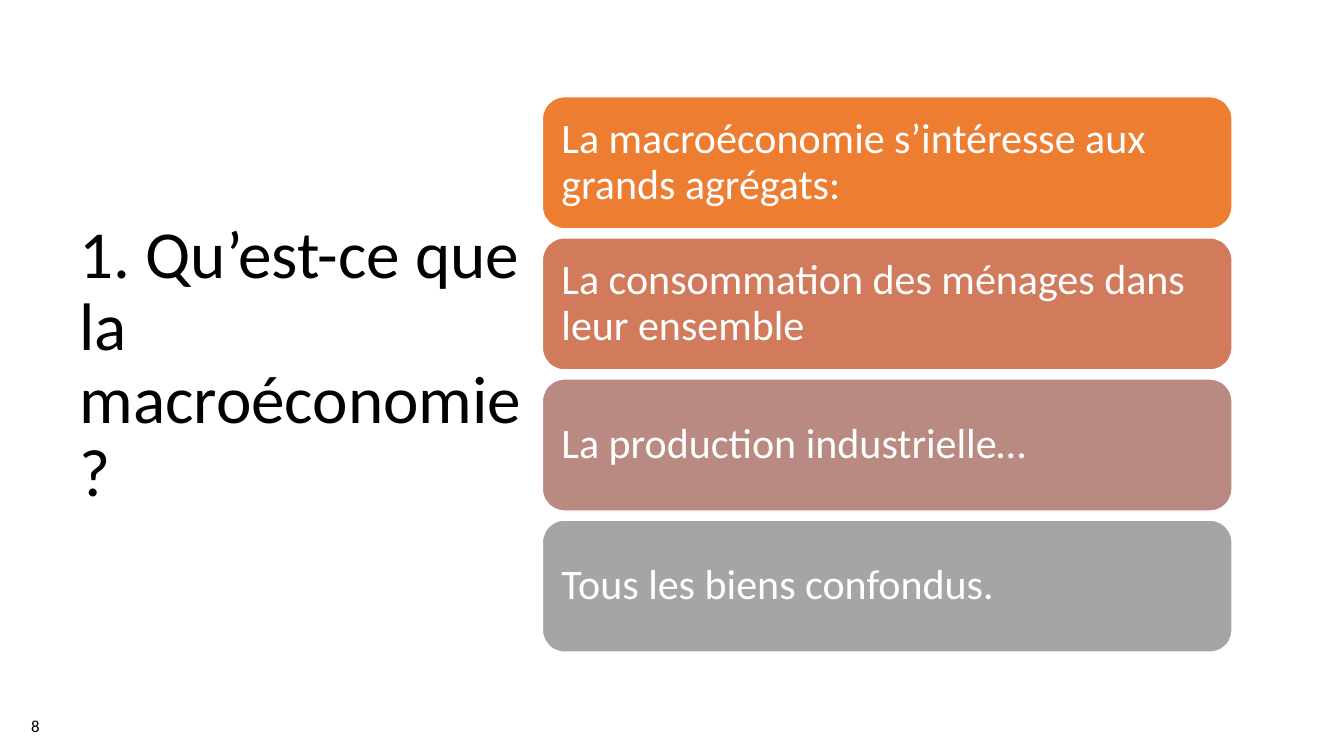
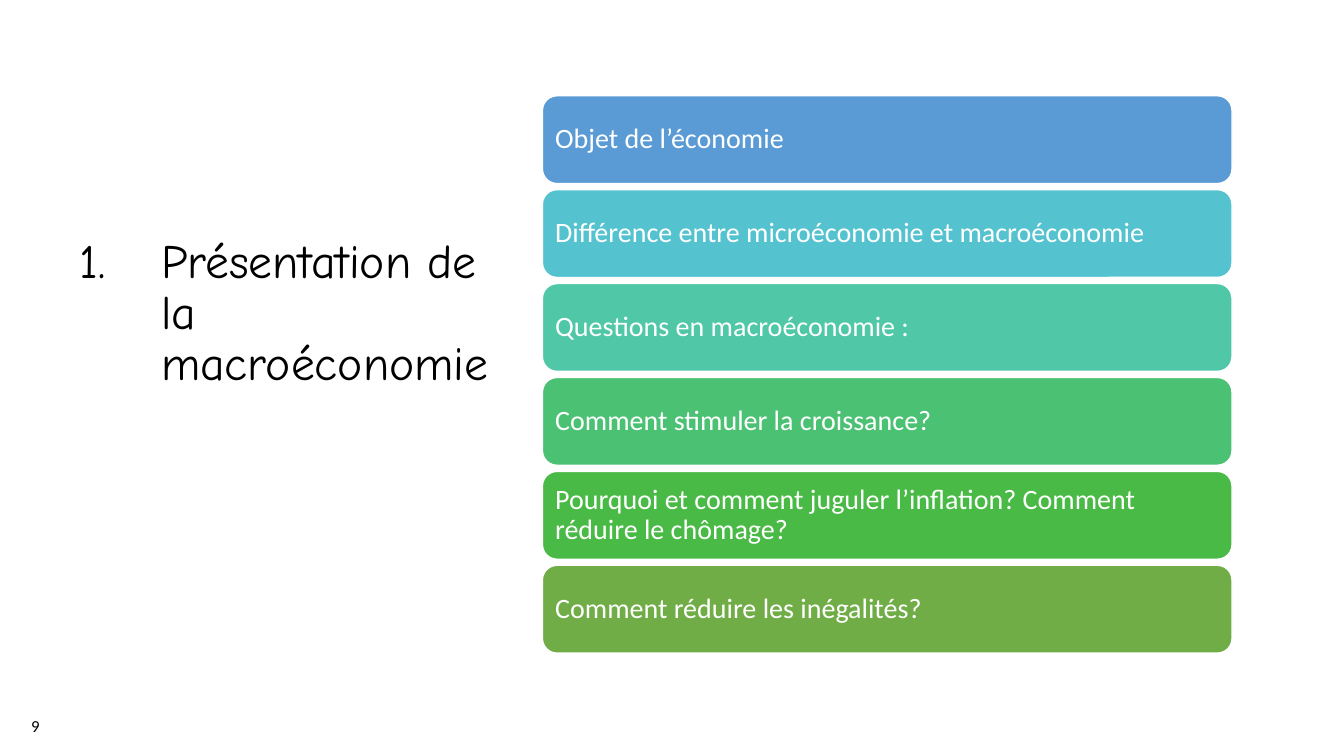
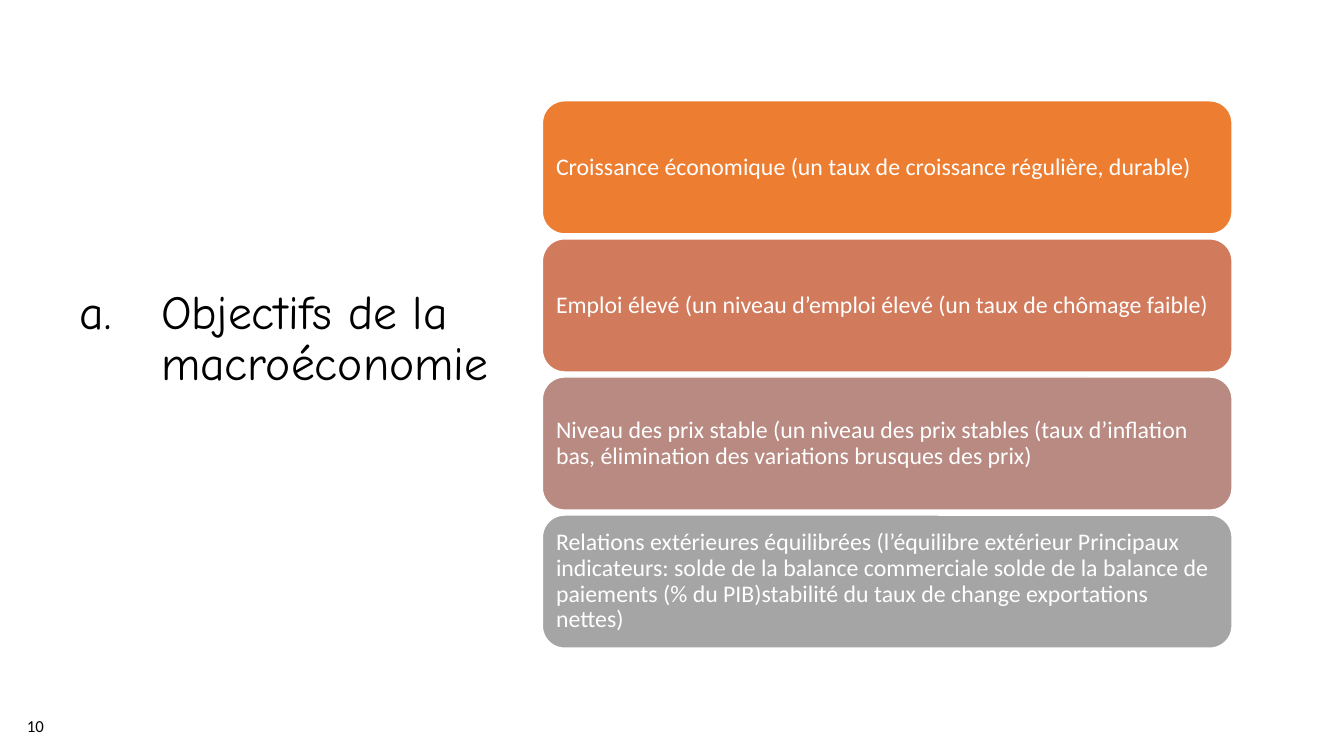
import dataclasses

import pptx
import pptx.dml.color
import pptx.enum.shapes
import pptx.enum.text
import pptx.oxml.ns
import pptx.util
from lxml import etree

Inches = pptx.util.Inches
ALIGN = pptx.enum.text.PP_ALIGN


@dataclasses.dataclass(frozen=True)
class Theme:
    body_font: str = "Calibri"
    section_font: str = "Comic Neue"
    black: str = "000000"
    white: str = "FFFFFF"
    warm: tuple = ("ED7D31", "D17B5C", "B98A82", "A5A5A5")
    cool: tuple = ("5B9BD5", "55C3CF", "50C8A7", "4BC174", "4ABA46", "70AD47")
    question_size: int = 48
    section_size: int = 34
    number_size: int = 12
    line_spacing: float = 0.9
    inset_per_point: float = 1 / 240


THEME = Theme()
NUMBER_BOX = (0, 6.9, 0.7, 0.6)


def rgb(color):
    return pptx.dml.color.RGBColor.from_string(color)


def set_numbering(p, scheme, indent):
    pPr = p._p.get_or_add_pPr()
    pPr.set("marL", str(Inches(indent)))
    pPr.set("indent", str(-Inches(indent)))
    bullet = etree.SubElement(pPr, pptx.oxml.ns.qn("a:buAutoNum"))
    bullet.set("type", scheme)


def write_text(tf, text, *, size, color=THEME.black, font=THEME.body_font,
               align=ALIGN.LEFT, spacing=THEME.line_spacing, inset=None, numbering=None):
    tf.word_wrap = True
    tf.vertical_anchor = pptx.enum.text.MSO_ANCHOR.MIDDLE
    if inset is not None:
        tf.margin_left = tf.margin_top = tf.margin_right = tf.margin_bottom = Inches(inset)
    p = tf.paragraphs[0]
    if numbering:
        set_numbering(p, numbering, 0.81)
    p.alignment = align
    p.line_spacing = spacing
    r = p.add_run()
    r.text = text
    r.font.name = font
    r.font.size = pptx.util.Pt(size)
    r.font.color.rgb = rgb(color)


def add_text_box(slide, box, text, **fmt):
    sp = slide.shapes.add_textbox(*map(Inches, box))
    write_text(sp.text_frame, text, **fmt)


def add_cards(slide, box, texts, colors, gap, size):
    left, top, width, height = box
    card_height = (height - gap * (len(texts) - 1)) / len(texts)
    for i, (text, color) in enumerate(zip(texts, colors)):
        sp = slide.shapes.add_shape(
            pptx.enum.shapes.MSO_SHAPE.ROUNDED_RECTANGLE,
            Inches(left), Inches(top + i * (card_height + gap)),
            Inches(width), Inches(card_height))
        sp.shadow.inherit = False
        sp.fill.solid()
        sp.fill.fore_color.rgb = rgb(color)
        sp.line.color.rgb = rgb(THEME.white)
        sp.line.width = pptx.util.Pt(1)
        write_text(sp.text_frame, text, size=size, color=THEME.white,
                   inset=size * THEME.inset_per_point)


def add_topic_slide(prs, number, title, title_height, title_format, cards):
    slide = prs.slides.add_slide(prs.slide_layouts[6])
    add_text_box(slide, (0.69, 0.54, 4.59, title_height), title, **title_format)
    add_text_box(slide, NUMBER_BOX, str(number), size=THEME.number_size,
                 align=ALIGN.CENTER, spacing=1.0)
    add_cards(slide, **cards)


def main():
    prs = pptx.Presentation()
    prs.slide_width = Inches(13.33)
    prs.slide_height = Inches(7.5)
    section = dict(size=THEME.section_size, font=THEME.section_font)

    add_topic_slide(
        prs, 8, "1. Qu’est-ce que la macroéconomie ?", 6.17, dict(size=THEME.question_size),
        dict(box=(5.38, 0.96, 6.84, 5.51), gap=0.09, size=30, colors=THEME.warm, texts=[
            "La macroéconomie s’intéresse aux grands agrégats:",
            "La consommation des ménages dans leur ensemble",
            "La production industrielle…",
            "Tous les biens confondus.",
        ]))
    add_topic_slide(
        prs, 9, "Présentation de la macroéconomie", 5.15,
        dict(section, numbering="arabicPeriod"),
        dict(box=(5.38, 0.95, 6.84, 5.53), gap=0.06, size=20, colors=THEME.cool, texts=[
            "Objet de l’économie",
            "Différence entre microéconomie et macroéconomie",
            "Questions en macroéconomie :",
            "Comment stimuler la croissance?",
            "Pourquoi et comment juguler l’inflation? Comment réduire le chômage?",
            "Comment réduire les inégalités?",
        ]))
    add_topic_slide(
        prs, 10, "Objectifs de la macroéconomie", 5.66,
        dict(section, numbering="alphaLcPeriod"),
        dict(box=(5.38, 1, 6.84, 5.43), gap=0.05, size=17, colors=THEME.warm, texts=[
            "Croissance économique (un taux de croissance régulière, durable)",
            "Emploi élevé (un niveau d’emploi élevé (un taux de chômage faible)",
            "Niveau des prix stable (un niveau des prix stables (taux d’inflation bas, "
            "élimination des variations brusques des prix)",
            "Relations extérieures équilibrées (l’équilibre extérieur Principaux indicateurs: "
            "solde de la balance commerciale solde de la balance de paiements "
            "(% du PIB)stabilité du taux de change exportations nettes)",
        ]))
    prs.save("out.pptx")


if __name__ == "__main__":
    main()
